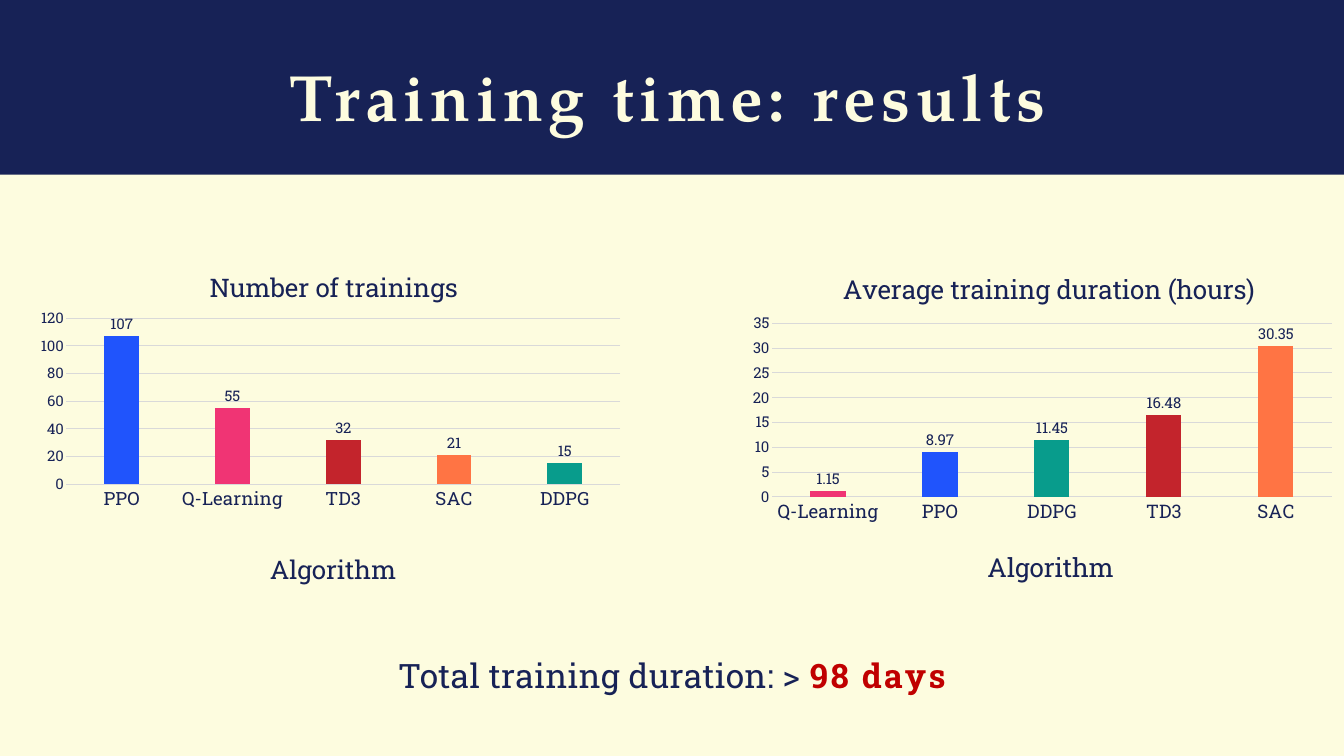
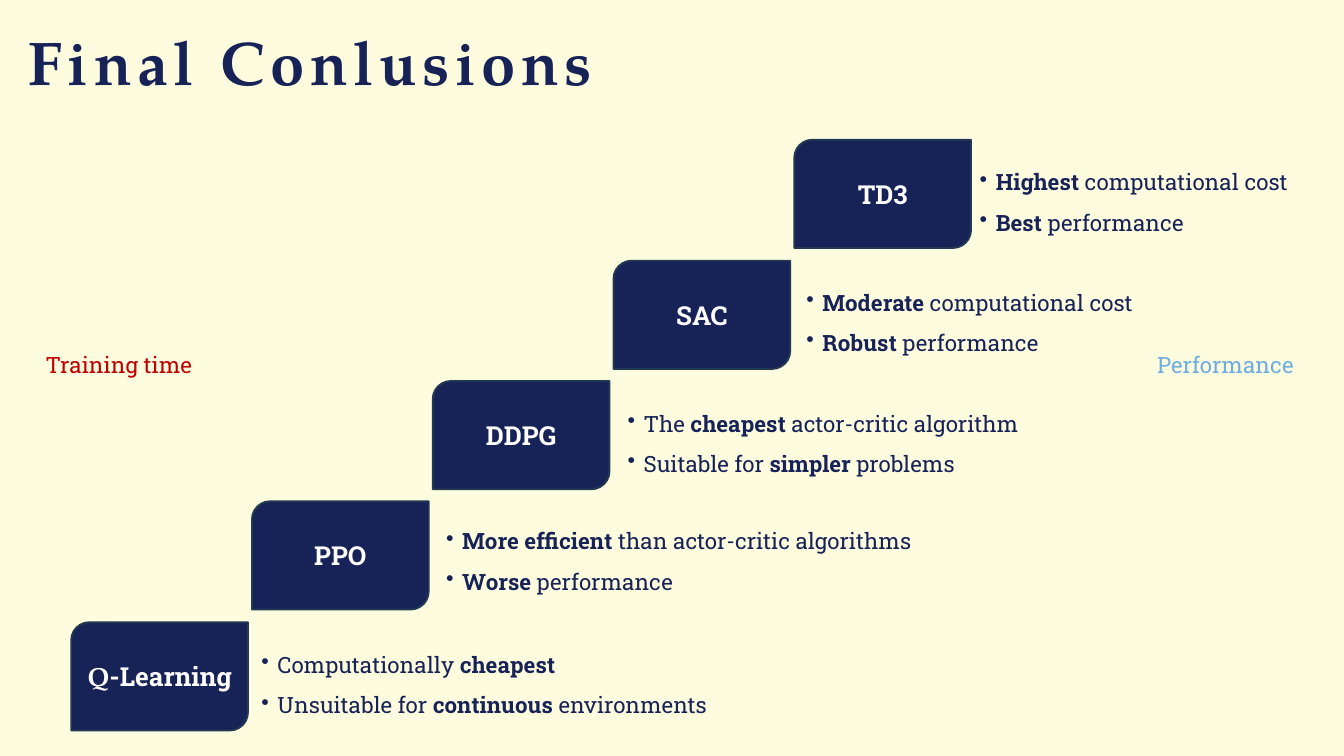
"""Build two slides: training time results and the final conclusions."""
from dataclasses import dataclass

from lxml.etree import SubElement
from pptx import Presentation
from pptx.chart.data import CategoryChartData
from pptx.dml.color import RGBColor
from pptx.enum.chart import XL_CHART_TYPE as ChartType
from pptx.enum.chart import XL_LABEL_POSITION as LabelPosition
from pptx.enum.chart import XL_TICK_MARK as TickMark
from pptx.enum.shapes import MSO_SHAPE as Shape
from pptx.enum.text import MSO_ANCHOR as Anchor
from pptx.enum.text import MSO_AUTO_SIZE as AutoSize
from pptx.enum.text import PP_ALIGN as Align
from pptx.oxml.ns import qn
from pptx.util import Pt

EMU_PER_PX = 9144
PAGE_WIDTH, PAGE_HEIGHT = 2000, 1125
BLEED = 9
NAVY, CREAM, RED, SKY, WHITE = "172256", "FDFCDF", "C00000", "6EADE0", "FFFFFF"
GRID, STEP_EDGE = "D9D9D9", "233953"
BODY_FONT, TITLE_FONT = "Roboto Slab", "TeX Gyre Pagella"
ALGORITHM_COLORS = {
    "PPO": "2054FC",
    "Q-Learning": "F03474",
    "TD3": "C3242C",
    "SAC": "FF7444",
    "DDPG": "089C8C",
}


@dataclass(frozen=True)
class Span:
    text: str
    bold: bool = False
    size: int = 24
    color: str = NAVY
    font: str = BODY_FONT
    spacing: float = 0


@dataclass(frozen=True)
class Area:
    left: int
    top: int
    width: int
    height: int


@dataclass(frozen=True)
class ParaStyle:
    align: Align = Align.LEFT
    line_spacing: float | Pt | None = None
    margin: int = 0
    hanging: int = 0
    bullet: str = ""


@dataclass(frozen=True)
class BarChart:
    title: str
    left: int
    values: dict[str, float]
    top_value: int
    unit: int
    title_at: tuple[float, float]
    axis_title_at: tuple[float, float]
    plot_at: tuple[float, float, float, float]


@dataclass(frozen=True)
class Step:
    label: list[Span]
    note: Area
    lines: list[list[Span]]


def strong(text: str) -> Span:
    return Span(text, bold=True)


def step_label(text: str, font: str = BODY_FONT) -> Span:
    return Span(text, True, 28, WHITE, font)


BULLETS = ParaStyle(line_spacing=1.5, margin=50, hanging=24, bullet="•")
SIDE_LABEL = ParaStyle(line_spacing=1.5, margin=26)
CENTERED = ParaStyle(Align.CENTER)

CHARTS = [
    BarChart("Number of trainings", 45,
             {"PPO": 107, "Q-Learning": 55, "TD3": 32, "SAC": 21, "DDPG": 15},
             120, 20, (0.29, 0.05), (0.39, 0.88), (0.06, 0.21, 0.92, 0.49)),
    BarChart("Average training duration (hours)", 1104,
             {"Q-Learning": 1.15, "PPO": 8.97, "DDPG": 11.45, "TD3": 16.48, "SAC": 30.35},
             35, 5, (0.16, 0.05), (0.4, 0.85), (0.05, 0.22, 0.93, 0.5)),
]

STEPS = [
    Step([step_label("Q", TITLE_FONT), step_label("-Learning")], Area(353, 944, 962, 124),
         [[Span("Computationally "), strong("cheapest")],
          [Span("Unsuitable for "), strong("continuous "), Span("environments")]]),
    Step([step_label("PPO")], Area(628, 760, 983, 124),
         [[strong("More efficient "), Span("than actor-critic algorithms")],
          [strong("Worse "), Span("performance")]]),
    Step([step_label("DDPG")], Area(898, 585, 962, 124),
         [[Span("The "), strong("cheapest "), Span("actor-critic algorithm")],
          [Span("Suitable for "), strong("simpler "), Span("problems")]]),
    Step([step_label("SAC")], Area(1164, 405, 836, 124),
         [[strong("Moderate "), Span("computational cost")],
          [strong("Robust "), Span("performance")]]),
    Step([step_label("TD3")], Area(1422, 226, 568, 124),
         [[strong("Highest "), Span("computational cost")],
          [strong("Best "), Span("performance")]]),
]


def px(length: float) -> int:
    return round(length * EMU_PER_PX)


def frame(area: Area) -> tuple[int, int, int, int]:
    return px(area.left), px(area.top), px(area.width), px(area.height)


def rgb(color: str) -> RGBColor:
    return RGBColor.from_string(color)


def paint(shape, color: str) -> None:
    shape.shadow.inherit = False
    shape.fill.solid()
    shape.fill.fore_color.rgb = rgb(color)
    shape.line.fill.background()


def set_font(font, size: int, color: str = NAVY, name: str = BODY_FONT, bold: bool = False) -> None:
    font.size, font.name, font.bold = Pt(size), name, bold
    font.color.rgb = rgb(color)


def write_para(para, spans: list[Span], style: ParaStyle) -> None:
    para.alignment = style.align
    if style.line_spacing:
        para.line_spacing = style.line_spacing
    if style.margin:
        properties = para._p.get_or_add_pPr()
        properties.set("marL", str(px(style.margin)))
        properties.set("indent", str(px(-style.hanging)))
        if style.bullet:
            SubElement(properties, qn("a:buChar")).set("char", style.bullet)
    for span in spans:
        run = para.add_run()
        run.text = span.text
        set_font(run.font, span.size, span.color, span.font, span.bold)
        if span.spacing:
            run._r.get_or_add_rPr().set("spc", str(round(span.spacing * 100)))


def add_text(page, area: Area, lines: list[list[Span]], style: ParaStyle, inset: bool = True) -> None:
    text = page.shapes.add_textbox(*frame(area)).text_frame
    text.word_wrap = True
    text.auto_size = AutoSize.SHAPE_TO_FIT_TEXT
    if not inset:
        text.margin_left = text.margin_top = text.margin_right = text.margin_bottom = 0
    for index, spans in enumerate(lines):
        para = text.add_paragraph() if index else text.paragraphs[0]
        write_para(para, spans, style)


def add_page(deck):
    page = deck.slides.add_slide(deck.slide_layouts[6])
    builder = page.shapes.build_freeform(0, -BLEED, scale=EMU_PER_PX)
    builder.add_line_segments(
        [(PAGE_WIDTH, -BLEED), (PAGE_WIDTH, PAGE_HEIGHT), (0, PAGE_HEIGHT)], close=True)
    paint(builder.convert_to_shape(), CREAM)
    return page


def add_title(page, text: str, area: Area, size: int, color: str, align: Align) -> None:
    span = Span(text, True, size, color, TITLE_FONT, 6)
    add_text(page, area, [[span]], ParaStyle(align, Pt(110.8)), inset=False)


def place(element, index: int, *fractions: float) -> None:
    """Pin a chart part at fractions of the chart: left, top, then width, height."""
    for old in element.findall(qn("c:layout")):
        element.remove(old)
    layout = SubElement(element, qn("c:layout"))
    element.insert(index, layout)
    manual = SubElement(layout, qn("c:manualLayout"))
    if len(fractions) == 4:
        SubElement(manual, qn("c:layoutTarget")).set("val", "inner")
    for mode in ("xMode", "yMode"):
        SubElement(manual, qn(f"c:{mode}")).set("val", "edge")
    for name, fraction in zip("xywh", fractions):
        SubElement(manual, qn(f"c:{name}")).set("val", str(fraction))


def write_chart_title(title, text: str, position: tuple[float, float]) -> None:
    write_para(title.text_frame.paragraphs[0], [Span(text, size=28)], CENTERED)
    place(title._element, 1, *position)


def style_axis(axis, size: int) -> None:
    axis.major_tick_mark = axis.minor_tick_mark = TickMark.NONE
    set_font(axis.tick_labels.font, size)


def add_bar_chart(page, bars: BarChart) -> None:
    data = CategoryChartData()
    data.categories = list(bars.values)
    data.add_series("Series 1", list(bars.values.values()))
    area = Area(bars.left, 367, 896, 517)
    chart = page.shapes.add_chart(ChartType.COLUMN_CLUSTERED, *frame(area), data).chart
    set_font(chart.font, 10, "000000", "Calibri")
    chart.has_legend = False
    chart.has_title = True
    chart.chart_title.include_in_layout = False
    write_chart_title(chart.chart_title, bars.title, bars.title_at)

    category_axis, value_axis = chart.category_axis, chart.value_axis
    style_axis(category_axis, 20)
    category_axis.format.line.color.rgb = rgb(GRID)
    category_axis.format.line.width = Pt(0.75)
    write_chart_title(category_axis.axis_title, "Algorithm", bars.axis_title_at)
    style_axis(value_axis, 16)
    value_axis.format.line.fill.background()
    value_axis.minimum_scale, value_axis.maximum_scale = 0, bars.top_value
    value_axis.major_unit = bars.unit
    gridline = value_axis.major_gridlines.format.line
    gridline.color.rgb = rgb(GRID)
    gridline.width = Pt(0.75)

    plot = chart.plots[0]
    plot.gap_width, plot.overlap = 219, -27
    plot.vary_by_categories = False
    plot.has_data_labels = True
    labels = plot.data_labels
    labels.show_value = True
    labels.position = LabelPosition.OUTSIDE_END
    set_font(labels.font, 16)
    for index, algorithm in enumerate(bars.values):
        fill = plot.series[0].points[index].format.fill
        fill.solid()
        fill.fore_color.rgb = rgb(ALGORITHM_COLORS[algorithm])
    place(chart._chartSpace.chart.plotArea, 0, *bars.plot_at)


def add_step(page, index: int, step: Step) -> None:
    area = Area(106 + 269 * index, round(926 - 179.5 * index), 263, 161)
    box = page.shapes.add_shape(Shape.ROUND_2_DIAG_RECTANGLE, *frame(area))
    paint(box, NAVY)
    box.line.color.rgb = rgb(STEP_EDGE)
    box.line.width = Pt(2)
    box.text_frame.vertical_anchor = Anchor.MIDDLE
    write_para(box.text_frame.paragraphs[0], step.label, CENTERED)


def build_results(deck) -> None:
    page = add_page(deck)
    band = Area(0, -BLEED, PAGE_WIDTH, 269)
    paint(page.shapes.add_shape(Shape.RECTANGLE, *frame(band)), NAVY)
    add_title(page, "Training time: results", Area(46, 47, 1896, 143), 70, CREAM, Align.CENTER)
    total = [Span("Total training duration: > ", size=36, spacing=0.3),
             Span("98 days", True, 36, RED, spacing=2.5)]
    add_text(page, Area(0, 974, PAGE_WIDTH, 61), [total], CENTERED, inset=False)
    for bars in CHARTS:
        add_bar_chart(page, bars)


def build_conclusions(deck) -> None:
    page = add_page(deck)
    add_title(page, "Final Conlusions", Area(42, -BLEED, 856, 142), 66, NAVY, Align.LEFT)
    for step in STEPS:
        add_text(page, step.note, step.lines, BULLETS)
    for index, step in enumerate(STEPS):
        add_step(page, index, step)
    add_text(page, Area(32, 498, 388, 64), [[Span("Training time", color=RED)]], SIDE_LABEL)
    add_text(page, Area(1686, 498, 263, 64), [[Span("Performance", color=SKY)]], SIDE_LABEL)


def main() -> None:
    deck = Presentation()
    deck.slide_width, deck.slide_height = px(PAGE_WIDTH), px(PAGE_HEIGHT)
    build_results(deck)
    build_conclusions(deck)
    deck.save("out.pptx")


if __name__ == "__main__":
    main()
